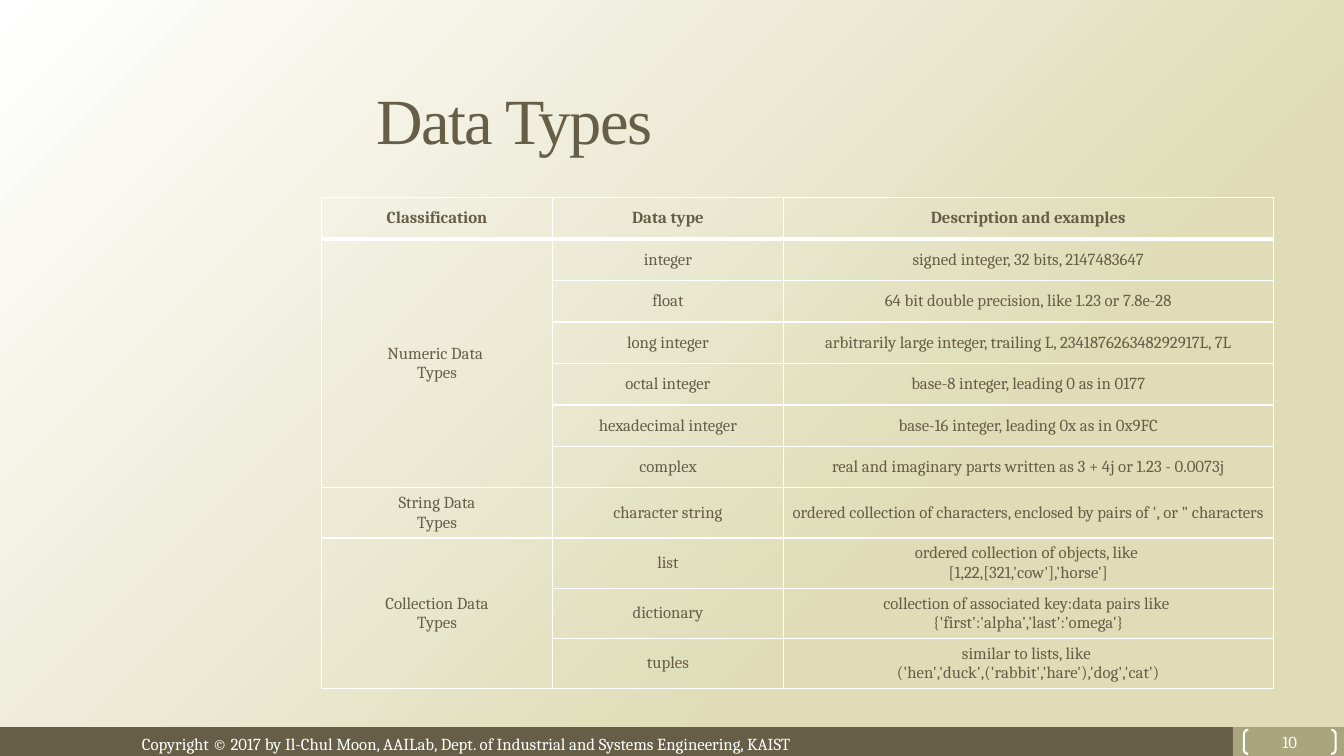
"""Build the Data Types slide with its classification table."""
from dataclasses import dataclass

from lxml.etree import SubElement
from pptx import Presentation
from pptx.dml.color import RGBColor
from pptx.enum.shapes import MSO_SHAPE
from pptx.enum.text import MSO_ANCHOR, PP_ALIGN
from pptx.oxml.ns import qn
from pptx.util import Inches, Pt


@dataclass(frozen=True)
class Theme:
    """Colours, fonts and type sizes of the slide."""
    ink: RGBColor = RGBColor(0x67, 0x5E, 0x47)
    accent: RGBColor = RGBColor(0xA9, 0xA5, 0x7C)
    sand: RGBColor = RGBColor(0xDF, 0xDC, 0xB7)
    white: RGBColor = RGBColor(0xFF, 0xFF, 0xFF)
    title_font: str = "Times New Roman"
    body_font: str = "Cambria"
    title_size: Pt = Pt(46)
    body_size: Pt = Pt(12)


THEME = Theme()
WIDTH, HEIGHT = Inches(13.333), Inches(7.5)
COLUMN_SHARES = (17.18, 17.18, 36.45)
SINGLE_ROW, DOUBLE_ROW = 5.49, 6.64
SINGLE_ROWS = 7
HEADINGS = ("Classification", "Data type", "Description and examples")
GROUPS = (
    ("Numeric Data \nTypes", (
        ("integer", "signed integer, 32 bits, 2147483647"),
        ("float", "64 bit double precision, like 1.23 or 7.8e-28"),
        ("long integer", "arbitrarily large integer, trailing L, 234187626348292917L, 7L"),
        ("octal integer", "base-8 integer, leading 0 as in 0177"),
        ("hexadecimal integer", "base-16 integer, leading 0x as in 0x9FC"),
        ("complex", "real and imaginary parts written as 3 + 4j or 1.23 - 0.0073j"),
    )),
    ("String Data\vTypes", (
        ("character string",
         "ordered collection of characters, enclosed by pairs of ', or \" characters"),
    )),
    ("Collection Data\vTypes", (
        ("list", "ordered collection of objects, like \v[1,22,[321,'cow'],'horse']"),
        ("dictionary",
         "collection of associated key:data pairs like \v{'first':'alpha','last':'omega'}"),
        ("tuples", "similar to lists, like \v('hen','duck',('rabbit','hare'),'dog','cat')"),
    )),
)


def across(share):
    """Turn a percentage of the slide width into a length."""
    return round(WIDTH * share / 100)


def down(share):
    """Turn a percentage of the slide height into a length."""
    return round(HEIGHT * share / 100)


def area(left, top, width, height):
    """Turn percentages of the slide into a position and size."""
    return across(left), down(top), across(width), down(height)


def assign(target, values):
    """Set every attribute in the dict of format values."""
    for name, value in values.items():
        setattr(target, name, value)


def write(frame, wording, color, align=PP_ALIGN.LEFT, **font):
    """Fill a text frame and format its runs."""
    frame.text = wording
    style = {"name": THEME.body_font, "size": THEME.body_size, **font}
    for paragraph in frame.paragraphs:
        paragraph.alignment = align
        for run in paragraph.runs:
            assign(run.font, style)
            run.font.color.rgb = color


def paint_background(slide):
    """Fade the slide from sand at lower right to white at upper left."""
    fill = slide.background.fill
    fill.gradient()
    fill.gradient_angle = 135
    stops = ((0.31, THEME.sand), (1, THEME.white))
    for stop, (position, color) in zip(fill.gradient_stops, stops):
        stop.position = position
        stop.color.rgb = color


def add_title(slide, wording):
    """Place and format the title placeholder."""
    title = slide.shapes.title
    assign(title, dict(zip(("left", "top", "width", "height"),
                           area(27.23, 8.93, 65.25, 13.47))))
    title.text_frame.vertical_anchor = MSO_ANCHOR.MIDDLE
    write(title.text_frame, wording, THEME.ink, name=THEME.title_font, size=THEME.title_size)
    title.text_frame.paragraphs[0].runs[0].font._element.set("spc", "-100")


def add_band(slide, place, color):
    """Draw one plain band of the footer."""
    band = slide.shapes.add_shape(MSO_SHAPE.RECTANGLE, *place)
    band.shadow.inherit = False
    band.fill.solid()
    band.fill.fore_color.rgb = color
    band.line.fill.background()


def add_copyright(slide, wording):
    """Write the copyright line on the footer."""
    notice = slide.shapes.add_textbox(*area(9.82, 96.4, 52.58, 4))
    notice.text_frame.word_wrap = False
    write(notice.text_frame, wording, THEME.white)


def add_page_number(slide, number):
    """Write the page number between brackets."""
    bracket = slide.shapes.add_shape(MSO_SHAPE.DOUBLE_BRACKET, *area(92.55, 96.53, 6.83, 3.2))
    bracket.shadow.inherit = False
    bracket.adjustments[0] = 0.18
    bracket.fill.background()
    bracket.line.color.rgb = THEME.white
    bracket.line.width = Pt(1.5)
    assign(bracket.text_frame, {"margin_left": 0, "margin_right": 0, "margin_top": 0,
                                "margin_bottom": 0, "vertical_anchor": MSO_ANCHOR.MIDDLE})
    write(bracket.text_frame, number, THEME.white, PP_ALIGN.CENTER)


def add_borders(cell, top, bottom):
    """Rule all four sides of a cell in white."""
    properties = cell._tc.get_or_add_tcPr()
    sides = {"a:lnL": 1, "a:lnR": 1, "a:lnT": top, "a:lnB": bottom}
    for tag, points in sides.items():
        side = SubElement(properties, qn(tag), w=str(Pt(points)))
        SubElement(SubElement(side, qn("a:solidFill")), qn("a:srgbClr"), val=str(THEME.white))


def format_cell(cell, row):
    """Give a cell its margins, rules and clear fill."""
    margin = Inches(0.02)
    assign(cell, {"margin_left": margin, "margin_right": margin, "margin_top": margin,
                  "margin_bottom": margin, "vertical_anchor": MSO_ANCHOR.MIDDLE})
    add_borders(cell, top=3 if row == 1 else 1, bottom=3 if row == 0 else 1)
    cell.fill.background()


def add_type_table(slide):
    """Build the table of data types, grouped by classification."""
    row_shares = [SINGLE_ROW] * SINGLE_ROWS + [DOUBLE_ROW] * 4
    place = area(23.93, 26.13, sum(COLUMN_SHARES), sum(row_shares))
    table = slide.shapes.add_table(len(row_shares), len(COLUMN_SHARES), *place).table
    assign(table, {"first_row": False, "horz_banding": False})
    for column, share in zip(table.columns, COLUMN_SHARES):
        column.width = across(share)
    for index, (row, share) in enumerate(zip(table.rows, row_shares)):
        row.height = down(share)
        for cell in row.cells:
            format_cell(cell, index)

    def fill_cell(row, column, wording):
        """Write one centred entry, bold in the heading row."""
        write(table.cell(row, column).text_frame, wording, THEME.ink, PP_ALIGN.CENTER,
              bold=row == 0)

    for column, heading in enumerate(HEADINGS):
        fill_cell(0, column, heading)
    first = 1
    for classification, entries in GROUPS:
        last = first + len(entries) - 1
        if last > first:
            table.cell(first, 0).merge(table.cell(last, 0))
        fill_cell(first, 0, classification)
        for row, entry in enumerate(entries, first):
            for column, wording in enumerate(entry, 1):
                fill_cell(row, column, wording)
        first = last + 1


def main():
    """Assemble and save the slide."""
    deck = Presentation()
    assign(deck, {"slide_width": WIDTH, "slide_height": HEIGHT})
    slide = deck.slides.add_slide(deck.slide_layouts[5])
    paint_background(slide)
    add_band(slide, area(0, 96.2, 100, 3.8), THEME.ink)
    add_band(slide, area(91.73, 96.2, 8.27, 3.8), THEME.accent)
    add_copyright(slide, "Copyright © 2017 by Il-Chul Moon, AAILab, "
                         "Dept. of Industrial and Systems Engineering, KAIST")
    add_title(slide, "Data Types")
    add_type_table(slide)
    add_page_number(slide, "10")
    deck.save("out.pptx")


if __name__ == "__main__":
    main()
